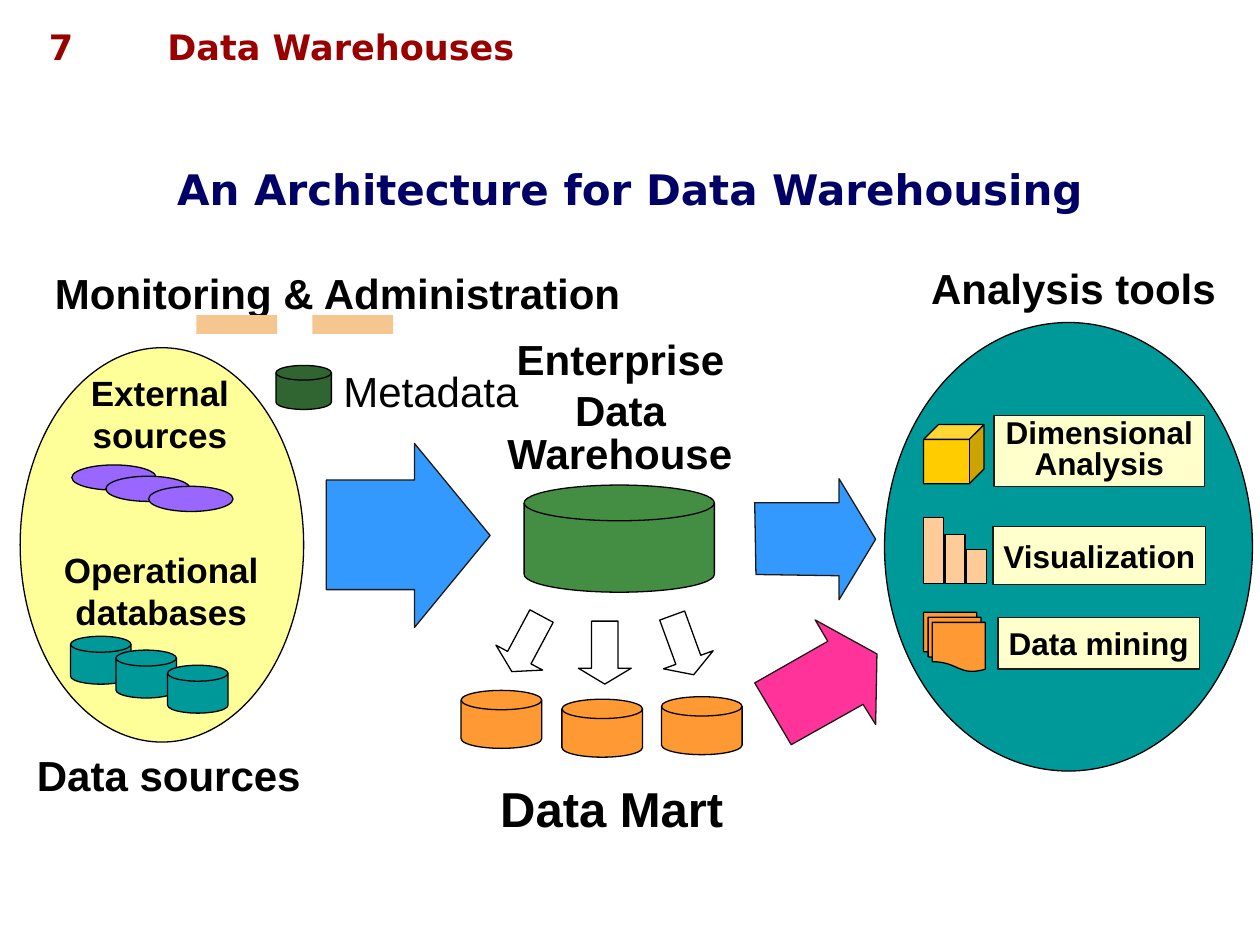
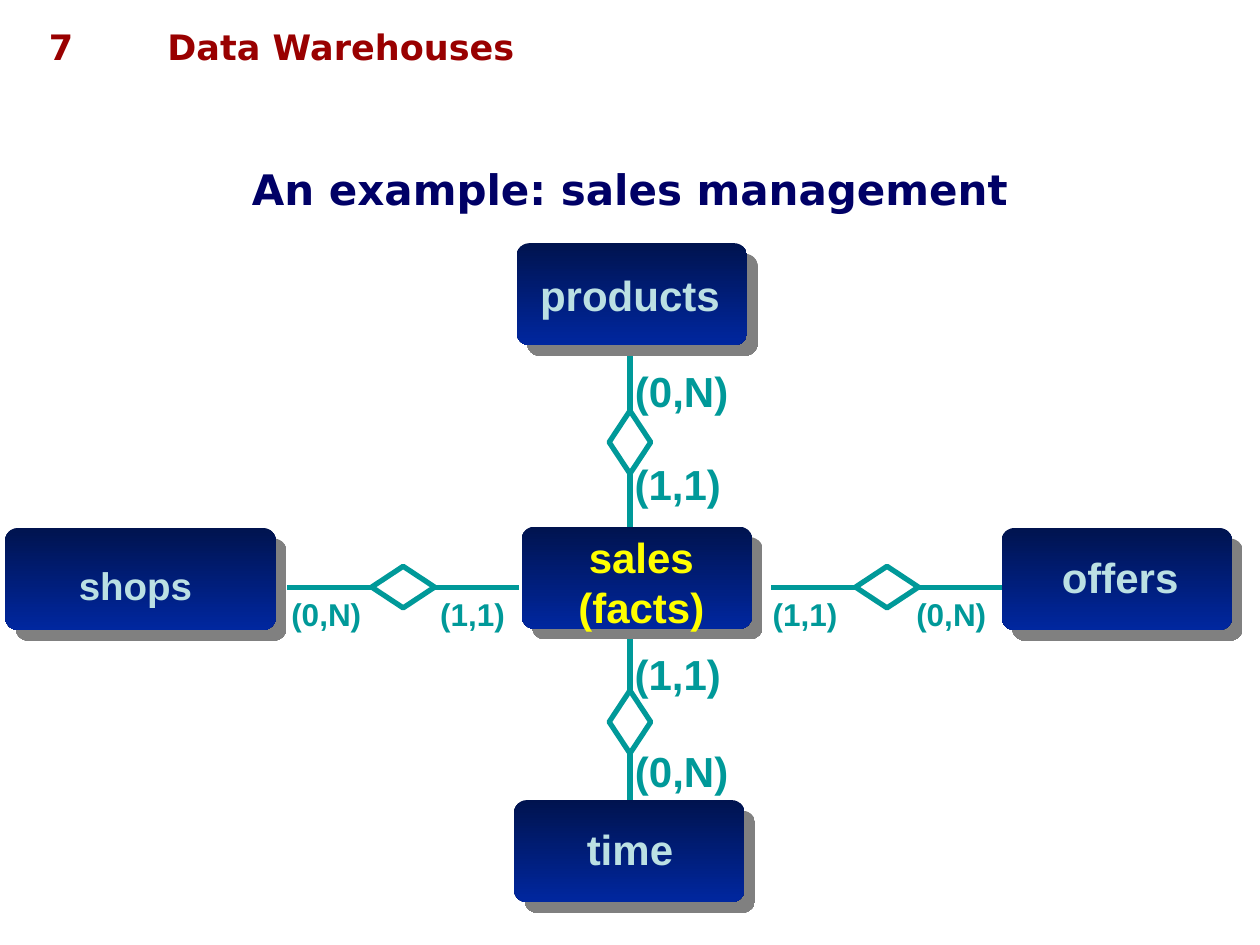
from lxml import etree
from pptx import Presentation
from pptx.dml.color import RGBColor
from pptx.enum.shapes import MSO_CONNECTOR, MSO_SHAPE
from pptx.enum.text import MSO_ANCHOR, PP_ALIGN
from pptx.oxml.ns import qn
from pptx.util import Inches, Pt

LEFT, CENTER = PP_ALIGN.LEFT, PP_ALIGN.CENTER
MIDDLE, TOP = MSO_ANCHOR.MIDDLE, MSO_ANCHOR.TOP
STRAIGHT = MSO_CONNECTOR.STRAIGHT
RECT, ROUNDED, OVAL = MSO_SHAPE.RECTANGLE, MSO_SHAPE.ROUNDED_RECTANGLE, MSO_SHAPE.OVAL
DISK, CUBE = MSO_SHAPE.FLOWCHART_MAGNETIC_DISK, MSO_SHAPE.CUBE
DOCUMENTS, DIAMOND = MSO_SHAPE.FLOWCHART_MULTIDOCUMENT, MSO_SHAPE.FLOWCHART_DECISION
LEFT_ARROW, DOWN_ARROW = MSO_SHAPE.LEFT_ARROW, MSO_SHAPE.DOWN_ARROW

BODY_FONT, HEAD_FONT = "Arial", "DejaVu Sans"
COLORS = {
    "black": "000000", "white": "FFFFFF", "outline": "1F1A17",
    "header": "990000", "title": "000066", "teal": "009999",
    "green": "448E44", "dark green": "306430", "blue": "3399FF",
    "pink": "FF3399", "peach": "F5C690", "bar": "FFCC99",
    "orange": "FF9933", "yellow": "FFFF99", "purple": "9966FF",
    "gold": "FFCC00", "cream": "FFFFCC", "navy": "00134F",
    "royal": "00279F", "shadow": "808080", "pale": "BBE0E3",
    "bright": "FFFF00",
}
INSETS = (0.1, 0.05, 0.1, 0.05)

# Shared header: text, place, alignment
HEADER = [("Data Warehouses", (1.23, 0.15, 8.51, 0.44), LEFT),
          ("7", (0.13, 0.15, 0.71, 0.44), CENTER)]
TITLE_AT = (0, 1.23, 10, 0.54)

# Architecture slide: labels as lines, place, size, bold
HEADINGS = [
    (["Enterprise", "Data"], (4.1, 2.65, 1.65, 0.8), 24, True),
    (["Warehouse"], (4.02, 3.39, 1.8, 0.4), 24, True),
    (["Monitoring & Administration"], (0.38, 2.12, 4.6, 0.4), 24, True),
    (["Metadata"], (2.72, 2.9, 1.4, 0.4), 24, False),
    (["Data Mart"], (3.92, 6.18, 1.87, 0.47), 28, True),
    (["Data sources"], (0.24, 5.95, 2.2, 0.4), 24, True),
    (["Analysis tools"], (7.34, 2.08, 2.36, 0.4), 24, True),
]
SOURCE_LABELS = [
    (["External", "sources"], (0.62, 2.9, 1.3, 0.77), 20, True),
    (["Operational", "databases"], (0.41, 4.3, 1.74, 0.77), 20, True),
]
# Kind, fill, size, top left corners
SYMBOLS = [
    (DISK, "green", (1.51, 0.85), [(4.16, 3.85)]),
    (DISK, "dark green", (0.44, 0.35), [(2.19, 2.9)]),
    (DISK, "orange", (0.64, 0.46), [(5.25, 5.53), (4.46, 5.55), (3.66, 5.48)]),
    (OVAL, "yellow", (2.25, 3.13), [(0.16, 2.76)]),
    (OVAL, "purple", (0.67, 0.2), [(0.57, 3.69), (0.84, 3.78), (1.18, 3.86)]),
    (DISK, "teal", (0.48, 0.38), [(0.56, 5.05), (0.92, 5.16), (1.33, 5.28)]),
    (OVAL, "teal", (2.92, 3.56), [(7.02, 2.56)]),
    (CUBE, "gold", (0.48, 0.47), [(7.33, 3.37)]),
]
MONITOR_BARS = [1.56, 2.48]
CHART_BARS = [0.52, 0.39, 0.27]
# Kind, place, rotation
MART_ARROWS = [(LEFT_ARROW, (5.17, 4.91, 0.5, 0.42), 250),
               (DOWN_ARROW, (4.59, 4.93, 0.42, 0.5), 0),
               (LEFT_ARROW, (3.93, 4.9, 0.5, 0.42), 298.1)]
FLOW_ARROWS = [
    ("blue", [(2.59, 3.81), (3.29, 3.81), (3.29, 3.52), (3.89, 4.25),
              (3.29, 4.98), (3.29, 4.68), (2.59, 4.68)]),
    ("blue", [(5.99, 3.99), (6.66, 3.99), (6.66, 3.8), (6.95, 4.28),
              (6.66, 4.76), (6.66, 4.57), (6, 4.56)]),
    ("pink", [(5.99, 5.42), (6.57, 5.09), (6.47, 4.92), (6.96, 5.19),
              (6.95, 5.75), (6.85, 5.59), (6.28, 5.91)]),
]
# Lines, place, line spacing
TOOLS = [(["Dimensional", "Analysis"], (7.89, 3.3, 1.67, 0.56), 0.8),
         (["Visualization"], (7.88, 4.18, 1.69, 0.46), None),
         (["Data mining"], (7.92, 4.9, 1.6, 0.41), None)]

# Sales slide: name, box place, label place, size, colour
ENTITIES = [
    ("sales (facts)", (4.14, 4.18, 1.83, 0.81), (4.09, 4.17, 2, 0.9), 24, "bright"),
    ("products", (4.1, 1.93, 1.83, 0.81), (4, 2.09, 2, 0.5), 24, "pale"),
    ("time", (4.08, 6.35, 1.83, 0.81), (4, 6.49, 2, 0.5), 24, "pale"),
    ("shops", (0.04, 4.19, 2.15, 0.81), (0.05, 4.41, 2.05, 0.46), 22, "pale"),
    ("offers", (7.95, 4.19, 1.83, 0.81), (7.89, 4.33, 2, 0.5), 24, "pale"),
]
# Centre, direction of the line
RELATIONS = [((5, 5.73), (0, 1)), ((5, 3.51), (0, 1)),
             ((3.2, 4.66), (1, 0)), ((7.04, 4.66), (1, 0))]
HALF_LINE = 0.92
# Text, label centre, size
CARDINALITIES = [
    ("(0,N)", (5.41, 3.1), 24), ("(1,1)", (5.38, 3.84), 24),
    ("(1,1)", (5.38, 5.35), 24), ("(0,N)", (5.41, 6.12), 24),
    ("(0,N)", (2.59, 4.87), 18), ("(1,1)", (3.75, 4.87), 18),
    ("(1,1)", (6.39, 4.87), 18), ("(0,N)", (7.55, 4.87), 18),
]


def rgb(name):
    return RGBColor.from_string(COLORS[name])


def inches(values):
    return [Inches(value) for value in values]


def write(shape, lines, size, color="black", font=BODY_FONT, bold=True,
          align=CENTER, anchor=TOP, wrap=True, margins=(0, 0, 0, 0), spacing=None):
    frame = shape.text_frame
    frame.word_wrap, frame.vertical_anchor = wrap, anchor
    (frame.margin_left, frame.margin_top,
     frame.margin_right, frame.margin_bottom) = inches(margins)
    for index, line in enumerate(lines):
        para = frame.add_paragraph() if index else frame.paragraphs[0]
        para.alignment = align
        if spacing:
            para.line_spacing = spacing
        span = para.add_run()
        span.text = line
        span.font.name, span.font.size, span.font.bold = font, Pt(size), bold
        span.font.color.rgb = rgb(color)


def add_label(page, lines, place, size, **style):
    write(page.shapes.add_textbox(*inches(place)), lines, size, **style)


def paint(shape, fill, line="black", width=0.75):
    shape.shadow.inherit = False
    shape.fill.solid()
    shape.fill.fore_color.rgb = rgb(fill)
    if line:
        shape.line.color.rgb = rgb(line)
        shape.line.width = Pt(width)
    else:
        shape.line.fill.background()
    return shape


def add_figure(page, kind, place, fill, line="black", width=0.75):
    return paint(page.shapes.add_shape(kind, *inches(place)), fill, line, width)


def add_page(deck, title):
    page = deck.slides.add_slide(deck.slide_layouts[5])
    for text, place, align in HEADER:
        add_label(page, [text], place, 20, color="header", font=HEAD_FONT,
                  align=align, margins=INSETS)
    box = page.shapes.title
    box.left, box.top, box.width, box.height = inches(TITLE_AT)
    write(box, [title], 24, color="title", font=HEAD_FONT, anchor=MIDDLE, margins=INSETS)
    return page


def add_entity(page, name, place, label_place, size, color):
    box = add_figure(page, ROUNDED, place, "navy", None)
    box.adjustments[0] = 0.125
    box.fill.gradient()
    box.fill.gradient_angle = 270
    for stop, position, shade in zip(box.fill.gradient_stops, (0, 1), ("navy", "royal")):
        stop.position, stop.color.rgb = position, rgb(shade)
    # Hard offset shadow; the name sits in its own box so it casts none
    effects = box.element.spPr.find(qn("a:effectLst"))
    shadow = etree.SubElement(effects, qn("a:outerShdw"), dist=str(Pt(8.5)),
                              dir="2700000", algn="ctr", rotWithShape="0")
    etree.SubElement(shadow, qn("a:srgbClr"), val=COLORS["shadow"])
    add_label(page, [name], label_place, size, color=color, margins=INSETS)


def add_relation(page, centre, direction):
    (x, y), (across, along) = centre, direction
    reach_x, reach_y = HALF_LINE * across, HALF_LINE * along
    line = page.shapes.add_connector(STRAIGHT, *inches(
        (x - reach_x, y - reach_y, x + reach_x, y + reach_y)))
    line.line.color.rgb, line.line.width = rgb("teal"), Pt(3)
    etree.SubElement(line.element.spPr, qn("a:effectLst"))
    width, height = (0.5, 0.33) if across else (0.33, 0.5)
    add_figure(page, DIAMOND, (x - width / 2, y - height / 2, width, height),
               "white", "teal", 3)


def build_architecture(deck):
    page = add_page(deck, "An Architecture for Data Warehousing")
    for lines, place, size, bold in HEADINGS:
        add_label(page, lines, place, size, bold=bold, wrap=False)
    for left in MONITOR_BARS:
        add_figure(page, RECT, (left, 2.5, 0.64, 0.15), "peach", None)
    for kind, fill, size, corners in SYMBOLS:
        for corner in corners:
            add_figure(page, kind, corner + size, fill)
    for lines, place, size, bold in SOURCE_LABELS:
        add_label(page, lines, place, size, bold=bold, wrap=False, anchor=MIDDLE)

    # Arrows between the stages
    for fill, points in FLOW_ARROWS:
        outline = [inches(point) for point in points]
        builder = page.shapes.build_freeform(*outline[0])
        builder.add_line_segments(outline[1:], close=True)
        paint(builder.convert_to_shape(), fill, "outline")
    for kind, place, rotation in MART_ARROWS:
        arrow = add_figure(page, kind, place, "white")
        arrow.rotation = rotation
        arrow.adjustments[0], arrow.adjustments[1] = 0.5, 0.3

    # Analysis tools: icons and captions
    for index, height in enumerate(CHART_BARS):
        add_figure(page, RECT, (7.33 + 0.17 * index, 4.63 - height, 0.16, height), "bar")
    documents = add_figure(page, DOCUMENTS, (7.33, 4.86, 0.49, 0.47), "orange")
    documents.element.spPr.find(qn("a:xfrm")).set("flipH", "1")
    for lines, place, spacing in TOOLS:
        box = add_figure(page, RECT, place, "cream", "outline")
        write(box, lines, 18, anchor=MIDDLE, spacing=spacing)


def build_sales(deck):
    page = add_page(deck, "An example: sales management")
    for centre, direction in RELATIONS:
        add_relation(page, centre, direction)
    for entity in ENTITIES:
        add_entity(page, *entity)
    for text, (x, y), size in CARDINALITIES:
        add_label(page, [text], (x - 0.38, y - 0.2, 0.76, 0.4), size,
                  color="teal", anchor=MIDDLE, wrap=False)


def main():
    deck = Presentation()
    deck.slide_width, deck.slide_height = Inches(10), Inches(7.5)
    build_architecture(deck)
    build_sales(deck)
    deck.save("out.pptx")


if __name__ == "__main__":
    main()
